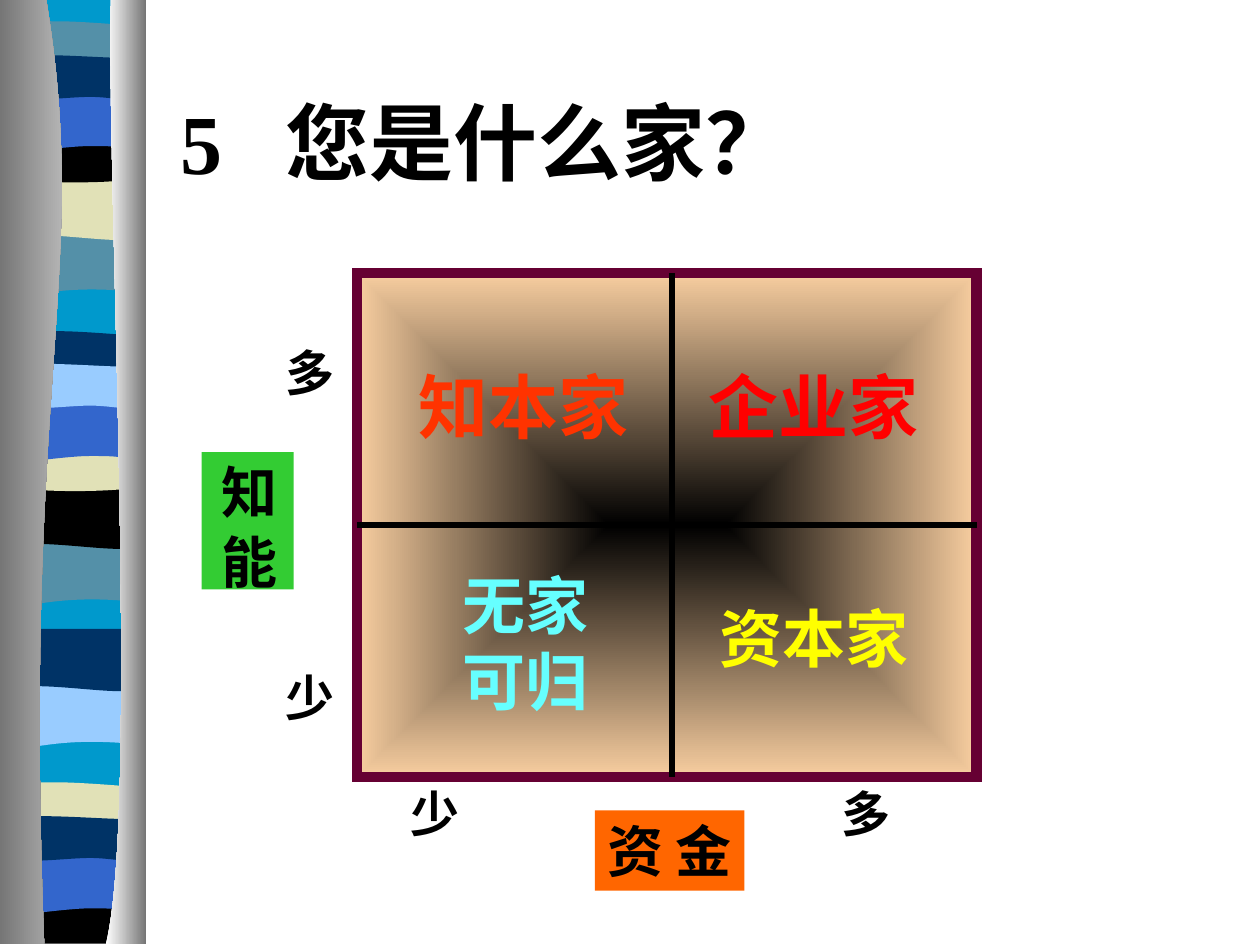
from lxml.etree import SubElement
from pptx import Presentation
from pptx.dml.color import RGBColor
from pptx.enum.shapes import MSO_CONNECTOR, MSO_SHAPE
from pptx.enum.text import MSO_ANCHOR, MSO_AUTO_SIZE, PP_ALIGN
from pptx.oxml.ns import qn
from pptx.util import Pt

COLORS = {
    "black": "000000", "white": "FFFFFF", "gray": "767676", "silver": "D2D2D2",
    "cyan": "0099CC", "teal": "5490A8", "navy": "003366", "blue": "3366CC",
    "sky": "99CCFF", "cream": "E1E1B7", "tan": "F8CEA0", "maroon": "660033",
    "orange": "FF6600", "green": "33CC33", "vermilion": "FF3300",
    "red": "FF0000", "yellow": "FFFF00", "aqua": "66FFFF",
}

presentation = Presentation()
presentation.slide_width = Pt(720)
presentation.slide_height = Pt(540)
slide = presentation.slides.add_slide(presentation.slide_layouts[6])


def paint(shape, *names):
    shape.shadow.inherit = False
    shape.line.fill.background()
    if len(names) == 1:
        shape.fill.solid()
        shape.fill.fore_color.rgb = RGBColor.from_string(COLORS[names[0]])
        return
    shape.fill.gradient()
    shape.fill.gradient_angle = 0
    for stop, name, position in zip(shape.fill.gradient_stops, names, (0, 1)):
        stop.color.rgb = RGBColor.from_string(COLORS[name])
        stop.position = position


def draw_outline(outline, left, top, *names):
    points = [(Pt(left + segment[i]), Pt(top + segment[i + 1]))
              for segment in outline for i in range(0, len(segment), 2)]
    builder = slide.shapes.build_freeform(*points[0], scale=1.0)
    builder.add_line_segments(points[1:], close=True)
    shape = builder.convert_to_shape()
    lines = list(shape._element.iter(qn("a:lnTo")))
    for segment in outline[1:]:
        line = lines.pop(0)
        if len(segment) == 6:
            line.tag = qn("a:cubicBezTo")
            for control in (lines.pop(0), lines.pop(0)):
                line.append(control[0])
                control.getparent().remove(control)
    paint(shape, *names)


profiles = {
    "base": [(78, 0), (78, 538), (0, 538), (0, 0)],
    "swell": [(78, 0), (78, 34), (24, 28, 13, 39.6, 0, 34), (0, 0)],
    "shelf": [(78, 0), (78, 34), (65, 39.5, 24, 29.5, 0, 34), (0, 0)],
    "lens": [(78, 0), (78, 17.3), (65, 20.2, 13, 20.2, 0, 17.3), (0, 0),
             (4.3, -3.6, 16.6, -2.9, 29.5, -2.9), (42.5, -2.9, 67.7, -0.7, 78, 0)],
    "bowl": [(78, 0), (78, 23.4), (65, 27.4, 13, 27.4, 0, 23.4), (0, 0),
             (47.5, 3.6, 61.2, 0, 78, 0)],
    "block": [(78, 0), (78, 26.6), (0, 26.6), (0, 0), (47.5, 3.6, 61.2, 0, 78, 0)],
    "arch": [(78, 0), (78, 34), (65.5, 30.2, 60.5, 30.2, 47.5, 30.2),
             (34.6, 30.2, 11.5, 34, 0, 34), (0, 0)],
    "ripple": [(78, 0), (78, 22.3), (73, 26, 60.5, 22.3, 47.5, 22.3),
               (34.6, 22.3, 8, 26, 0, 22.3), (0, 0), (10.8, -3.6, 52.6, 0, 65.5, 0)],
}
bands = [
    ("base", 0, "cyan"),
    ("swell", 133.2, "teal"), ("shelf", 101.5, "cream"), ("lens", 15.1, "teal"),
    ("bowl", 77.8, "black"), ("arch", 53.3, "blue"), ("ripple", 33.1, "navy"),
    ("swell", 310.3, "teal"), ("shelf", 278, "black"), ("lens", 192.2, "navy"),
    ("bowl", 254.2, "cream"), ("arch", 230.4, "blue"), ("ripple", 209.5, "sky"),
    ("swell", 391.7, "sky"), ("shelf", 359.3, "navy"), ("lens", 450, "cream"),
    ("block", 512.6, "black"), ("arch", 488.9, "blue"), ("ripple", 468, "navy"),
]
for profile, top, color in bands:
    draw_outline(profiles[profile], 4, top, color)

left_curtain = [(26.5, 0), (52, 155.5, 12.6, 213, 25.3, 539.3), (0, 539.3), (0, 0)]
right_curtain = [(63.4, 0), (60.5, 90, 80, 465, 60.5, 539.3), (83.5, 539.3), (83.5, 0)]
draw_outline(left_curtain, 0, 0, "gray", "silver")
draw_outline(right_curtain, 0, 0, "white", "gray")

left, top, width, height = 204, 156, 354, 288
matrix = slide.shapes.add_shape(MSO_SHAPE.RECTANGLE, Pt(left), Pt(top), Pt(width), Pt(height))
paint(matrix, "black", "tan")
matrix.line.color.rgb = RGBColor.from_string(COLORS["maroon"])
matrix.line.width = Pt(6)
SubElement(matrix.line._get_or_add_ln(), qn("a:miter"), {"lim": "800000"})
gradient = matrix._element.spPr.find(qn("a:gradFill"))
gradient.remove(gradient.find(qn("a:lin")))
focus = SubElement(gradient, qn("a:path"), {"path": "rect"})
SubElement(focus, qn("a:fillToRect"), {side: "50000" for side in "ltrb"})

middle_x, middle_y = 384, top + height / 2
for ends in ((left, middle_y, left + width, middle_y), (middle_x, top, middle_x, top + height)):
    divider = slide.shapes.add_connector(MSO_CONNECTOR.STRAIGHT, *map(Pt, ends))
    divider.line.color.rgb = RGBColor.from_string(COLORS["black"])
    divider.line.width = Pt(3)
    SubElement(divider._element.spPr, qn("a:effectLst"))

serif, narrow = "Times New Roman", "Arial Narrow"
labels = [
    ("资 金", (340, 463, 85.5, 46), 32, serif, "black", "orange", False),
    ("少", (156, 378, 42.5, 41), 28, serif, "black", None, False),
    ("多", (473.8, 444, 42.5, 41), 28, serif, "black", None, False),
    ("多", (156, 192, 42.5, 41), 28, serif, "black", None, False),
    ("知 能", (115.3, 258.3, 52.5, 78.5), 32, serif, "black", "green", False),
    ("知本家", (231, 204, 136, 55.5), 40, serif, "vermilion", None, True),
    ("资本家", (396, 339, 138, 50.5), 36, serif, "yellow", None, True),
    ("企业家", (390, 204, 150, 55.5), 40, narrow, "red", None, True),
    ("无家可归", (240, 320.4, 120, 93.6), 36, narrow, "aqua", None, True),
    ("5\t您是什么家？", (96, 48, 462, 65), 48, serif, "black", None, True),
    ("少", (227.5, 444, 42.5, 41), 28, serif, "black", None, False),
]
for text, box, size, font_name, color, fill, wrap in labels:
    position = map(Pt, box)
    if fill:
        shape = slide.shapes.add_shape(MSO_SHAPE.RECTANGLE, *position)
        paint(shape, fill)
    else:
        shape = slide.shapes.add_textbox(*position)
    is_title = "\t" in text
    frame = shape.text_frame
    frame.auto_size = MSO_AUTO_SIZE.NONE
    frame.word_wrap = wrap
    frame.vertical_anchor = MSO_ANCHOR.TOP if is_title else MSO_ANCHOR.MIDDLE
    if fill == "green":
        frame._txBody.bodyPr.set("vert", "eaVert")
    if fill == "green" or color == "vermilion":
        for side in ("left", "right", "top", "bottom"):
            setattr(frame, f"margin_{side}", Pt(3.6))
    paragraph = frame.paragraphs[0]
    paragraph.alignment = PP_ALIGN.LEFT if is_title else PP_ALIGN.CENTER
    if is_title:
        tabs = SubElement(paragraph._p.get_or_add_pPr(), qn("a:tabLst"))
        SubElement(tabs, qn("a:tab"), {"pos": str(Pt(60)), "algn": "l"})
    run = paragraph.add_run()
    run.text = text
    for name, value in {"size": Pt(size), "name": font_name, "bold": True}.items():
        setattr(run.font, name, value)
    run.font.color.rgb = RGBColor.from_string(COLORS[color])

presentation.save("out.pptx")
